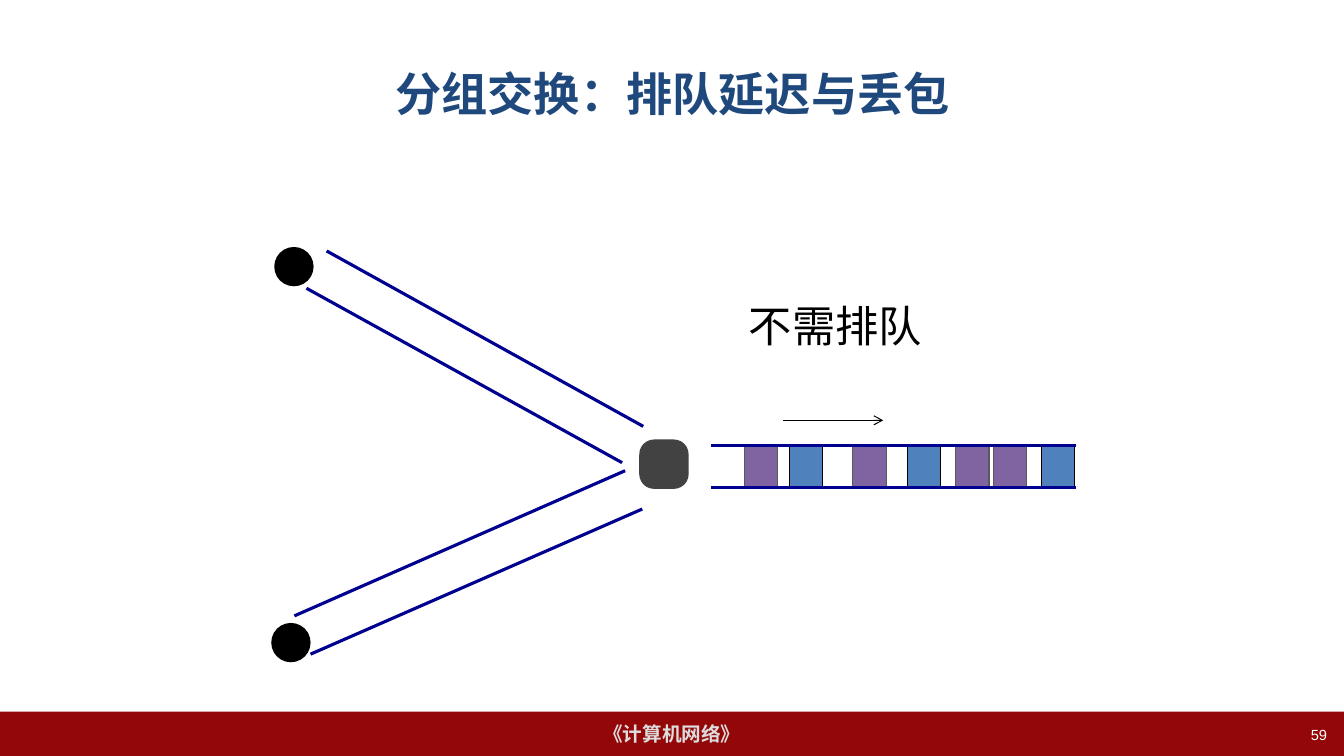
"""Build the slide on queuing delay and packet loss in packet switching."""
from lxml.etree import SubElement
from pptx import Presentation
from pptx.dml.color import RGBColor
from pptx.enum.shapes import MSO_CONNECTOR, MSO_SHAPE
from pptx.enum.text import MSO_ANCHOR, PP_ALIGN
from pptx.oxml.ns import qn
from pptx.util import Inches, Pt

RED = RGBColor(0x94, 0x07, 0x09)
NAVY = RGBColor(0x00, 0x00, 0x90)
TITLE_BLUE = RGBColor(0x1F, 0x49, 0x7D)
PURPLE = RGBColor(0x80, 0x64, 0xA2)
BLUE = RGBColor(0x4F, 0x81, 0xBD)
GRAY = RGBColor(0x59, 0x59, 0x59)
DARK = RGBColor(0x42, 0x42, 0x42)
LIGHT = RGBColor(0xDD, 0xDD, 0xDD)
BLACK = RGBColor(0x00, 0x00, 0x00)
WHITE = RGBColor(0xFF, 0xFF, 0xFF)

deck = Presentation()
deck.slide_width = Inches(13.33)
deck.slide_height = Inches(7.5)
page = deck.slides.add_slide(deck.slide_layouts[6])


def add_block(kind, left, top, width, height, fill=None, line=None, text="",
              size=14, color=BLACK, bold=False, align=PP_ALIGN.LEFT,
              anchor=MSO_ANCHOR.TOP, wrap=True):
    """Add a preset shape, or a text box when kind is None."""
    area = [Inches(length) for length in (left, top, width, height)]
    if kind is None:
        box = page.shapes.add_textbox(*area)
    else:
        box = page.shapes.add_shape(kind, *area)
        box.shadow.inherit = False
        box.fill.solid()
        box.fill.fore_color.rgb = fill
        if line is None:
            box.line.fill.background()
        else:
            box.line.color.rgb = line
            box.line.width = Pt(0.75)
    if text:
        box.text_frame.word_wrap = wrap
        box.text_frame.vertical_anchor = anchor
        para = box.text_frame.paragraphs[0]
        para.alignment = align
        span = para.add_run()
        span.text = text
        span.font.name = "Arial"
        span.font.size = Pt(size)
        span.font.bold = bold
        span.font.color.rgb = color
    return box


def add_line(x1, y1, x2, y2, color=NAVY, width=2.25, arrow=False):
    """Add a straight line, with an open arrowhead at its end if asked."""
    line = page.shapes.add_connector(
        MSO_CONNECTOR.STRAIGHT, Inches(x1), Inches(y1), Inches(x2), Inches(y2))
    line.line.color.rgb = color
    line.line.width = Pt(width)
    properties = line._element.spPr
    if arrow:
        SubElement(properties.find(qn("a:ln")), qn("a:tailEnd"), type="arrow")
    SubElement(properties, qn("a:effectLst"))


add_block(MSO_SHAPE.RECTANGLE, 0, 7.06, 13.33, 0.44, fill=RED,
          text="《计算机网络》", color=LIGHT, bold=True, align=PP_ALIGN.CENTER,
          anchor=MSO_ANCHOR.MIDDLE, wrap=False)
add_block(None, 0.67, 0.3, 12, 1.25, text="分组交换：排队延迟与丢包", size=33,
          color=TITLE_BLUE, bold=True, align=PP_ALIGN.CENTER,
          anchor=MSO_ANCHOR.MIDDLE)
add_block(None, 10.15, 7.15, 3.11, 0.35, text="59", size=10.5, color=WHITE,
          align=PP_ALIGN.RIGHT)

for link in [(3.24, 2.49, 6.38, 4.23), (3.04, 2.86, 6.17, 4.59),
             (2.92, 6.11, 6.2, 4.67), (3.08, 6.49, 6.37, 5.05)]:
    add_line(*link)

for host_left, host_top in [(2.72, 2.45), (2.69, 6.18)]:
    add_block(MSO_SHAPE.OVAL, host_left, host_top, 0.39, 0.39, fill=BLACK)

router = add_block(MSO_SHAPE.ROUNDED_RECTANGLE, 6.34, 4.36, 0.49, 0.49, fill=DARK)
router.adjustments[0] = 0.3

LINK_TOP, LINK_HEIGHT = 4.42, 0.42
flows = [(7.05, 10.63, PURPLE, GRAY, [7.38, 8.46, 9.48, 9.85]),
         (7.08, 10.67, BLUE, BLACK, [7.83, 9, 10.33])]
for start, end, fill, outline, packets in flows:
    for packet_left in packets:
        add_block(MSO_SHAPE.RECTANGLE, packet_left, LINK_TOP, 0.33, LINK_HEIGHT,
                  fill=fill, line=outline)
    for rail in (LINK_TOP, LINK_TOP + LINK_HEIGHT):
        add_line(start, rail, end, rail)

add_block(None, 7.33, 2.92, 3.42, 0.62, text="不需排队", size=30.9)
add_line(7.77, 4.17, 8.76, 4.17, color=BLACK, width=0.75, arrow=True)

deck.save("out.pptx")
